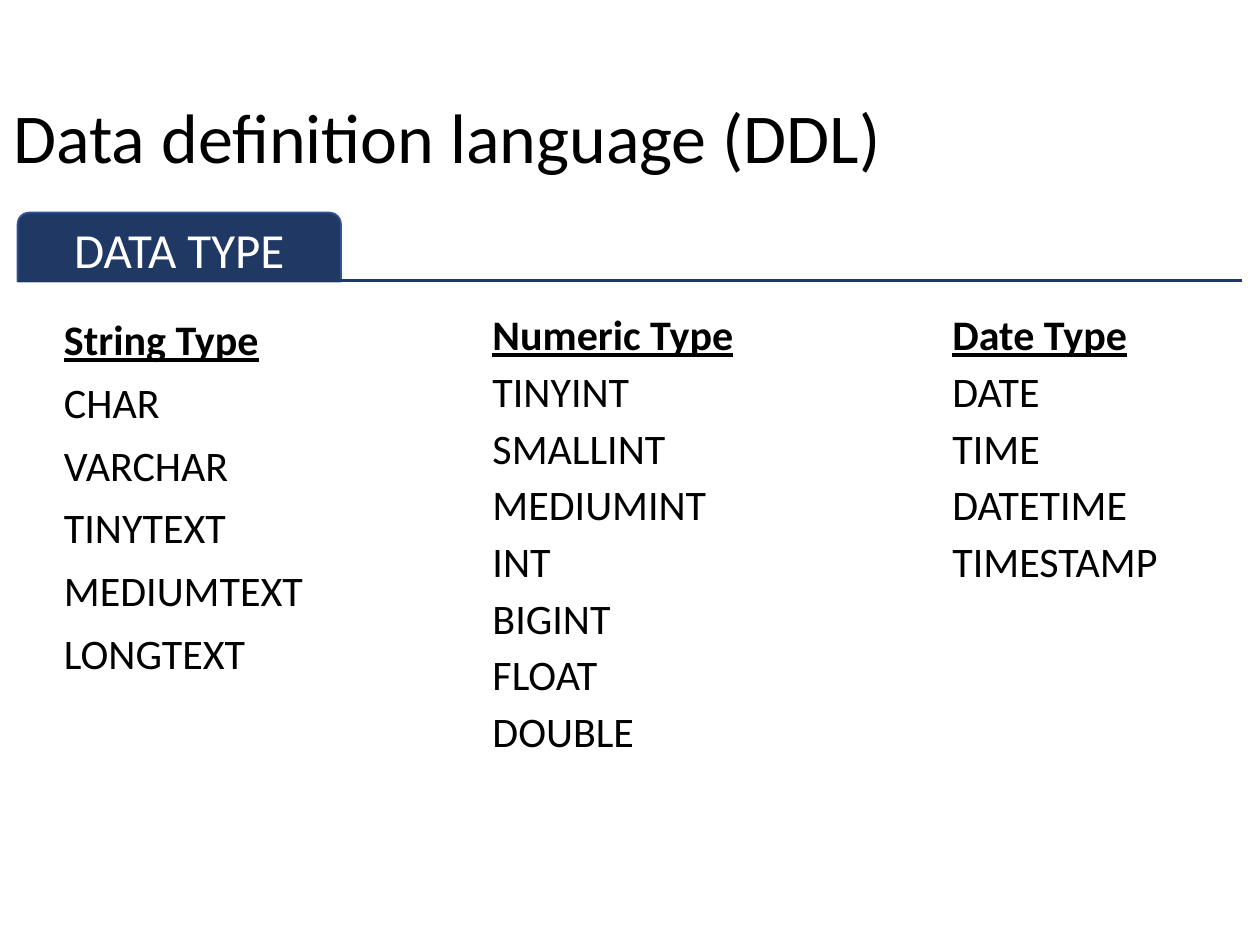
from dataclasses import dataclass

from lxml import etree
from pptx import Presentation
from pptx import util as u
from pptx.dml.color import RGBColor
from pptx.enum import shapes, text
from pptx.oxml.ns import qn


@dataclass(frozen=True)
class Theme:
    font: str = "Calibri"
    ink: str = "000000"
    paper: str = "FFFFFF"
    navy: str = "203864"
    edge: str = "325491"
    title_size: int = 40
    tab_size: int = 28
    body_size: int = 24


@dataclass(frozen=True)
class Box:
    left: float
    top: float
    width: float
    height: float

    def emu(self):
        return [u.Inches(side) for side in (self.left, self.top, self.width, self.height)]


@dataclass(frozen=True)
class Spacing:
    line: float
    before: float
    indent: float


THEME = Theme()
WIDTH, HEIGHT = 10, 7.5
LOOSE = Spacing(line=0.9, before=10, indent=0)
INDENTED = Spacing(line=1, before=3.6, indent=0.12)

TYPE_COLUMNS = [
    (0.041, 0.331, 0.307, 0.397, LOOSE, "String Type",
     ["CHAR", "VARCHAR", "TINYTEXT", "MEDIUMTEXT", "LONGTEXT"]),
    (0.369, 0.32, 0.322, 0.361, INDENTED, "Numeric Type",
     ["TINYINT", "SMALLINT", "MEDIUMINT", "INT", "BIGINT", "FLOAT", "DOUBLE"]),
    (0.734, 0.32, 0.298, 0.361, INDENTED, "Date Type",
     ["DATE", "TIME", "DATETIME", "TIMESTAMP"]),
]


def share(left, top, width, height):
    return Box(left * WIDTH, top * HEIGHT, width * WIDTH, height * HEIGHT)


def add_run(paragraph, words, size, color, heading=False):
    run = paragraph.add_run()
    run.text = words
    run.font.name = THEME.font
    run.font.size = u.Pt(size)
    run.font.color.rgb = RGBColor.from_string(color)
    run.font.bold = heading
    run.font.underline = heading


def add_frame(slide, box, anchor):
    frame = slide.shapes.add_textbox(*box.emu()).text_frame
    frame.word_wrap = True
    frame.vertical_anchor = anchor
    return frame


def add_title(slide, box, words):
    paragraph = add_frame(slide, box, text.MSO_ANCHOR.MIDDLE).paragraphs[0]
    paragraph.line_spacing = 0.9
    add_run(paragraph, words, THEME.title_size, THEME.ink)


def add_section_tab(slide, box, words, tab_share):
    tab_box = Box(box.left, box.top, box.width * tab_share, box.height)
    tab = slide.shapes.add_shape(shapes.MSO_SHAPE.ROUND_2_SAME_RECTANGLE, *tab_box.emu())
    tab.shadow.inherit = False
    tab.fill.solid()
    tab.fill.fore_color.rgb = RGBColor.from_string(THEME.navy)
    tab.line.color.rgb = RGBColor.from_string(THEME.edge)
    tab.line.width = u.Pt(1)
    tab.text_frame.vertical_anchor = text.MSO_ANCHOR.MIDDLE
    paragraph = tab.text_frame.paragraphs[0]
    paragraph.alignment = text.PP_ALIGN.CENTER
    add_run(paragraph, words, THEME.tab_size, THEME.paper)

    left, top, width, height = box.emu()
    base = top + height - u.Inches(0.01)
    rule = slide.shapes.add_connector(
        shapes.MSO_CONNECTOR.STRAIGHT, left, base, left + width, base)
    rule.line.color.rgb = RGBColor.from_string(THEME.navy)
    rule.line.width = u.Pt(1.5)
    etree.SubElement(rule.line._get_or_add_ln().getparent(), qn("a:effectLst"))


def add_type_column(slide, box, spacing, heading, names):
    frame = add_frame(slide, box, text.MSO_ANCHOR.TOP)
    for row, words in enumerate([heading, *names]):
        paragraph = frame.add_paragraph() if row else frame.paragraphs[0]
        paragraph.line_spacing = spacing.line
        paragraph.space_before = u.Pt(spacing.before if row else 0)
        if spacing.indent:
            properties = paragraph._p.get_or_add_pPr()
            properties.set("marL", str(u.Inches(spacing.indent)))
            properties.set("indent", "0")
        add_run(paragraph, words, THEME.body_size, THEME.ink, heading=row == 0)


def main():
    deck = Presentation()
    deck.slide_width, deck.slide_height = u.Inches(WIDTH), u.Inches(HEIGHT)
    slide = deck.slides.add_slide(deck.slide_layouts[6])
    add_title(slide, share(0.001, 0.053, 0.862, 0.193), "Data definition language (DDL)")
    add_section_tab(slide, share(0.014, 0.225, 0.972, 0.073), "DATA TYPE", 0.264)
    for *area, spacing, heading, names in TYPE_COLUMNS:
        add_type_column(slide, share(*area), spacing, heading, names)
    deck.save("out.pptx")


if __name__ == "__main__":
    main()
